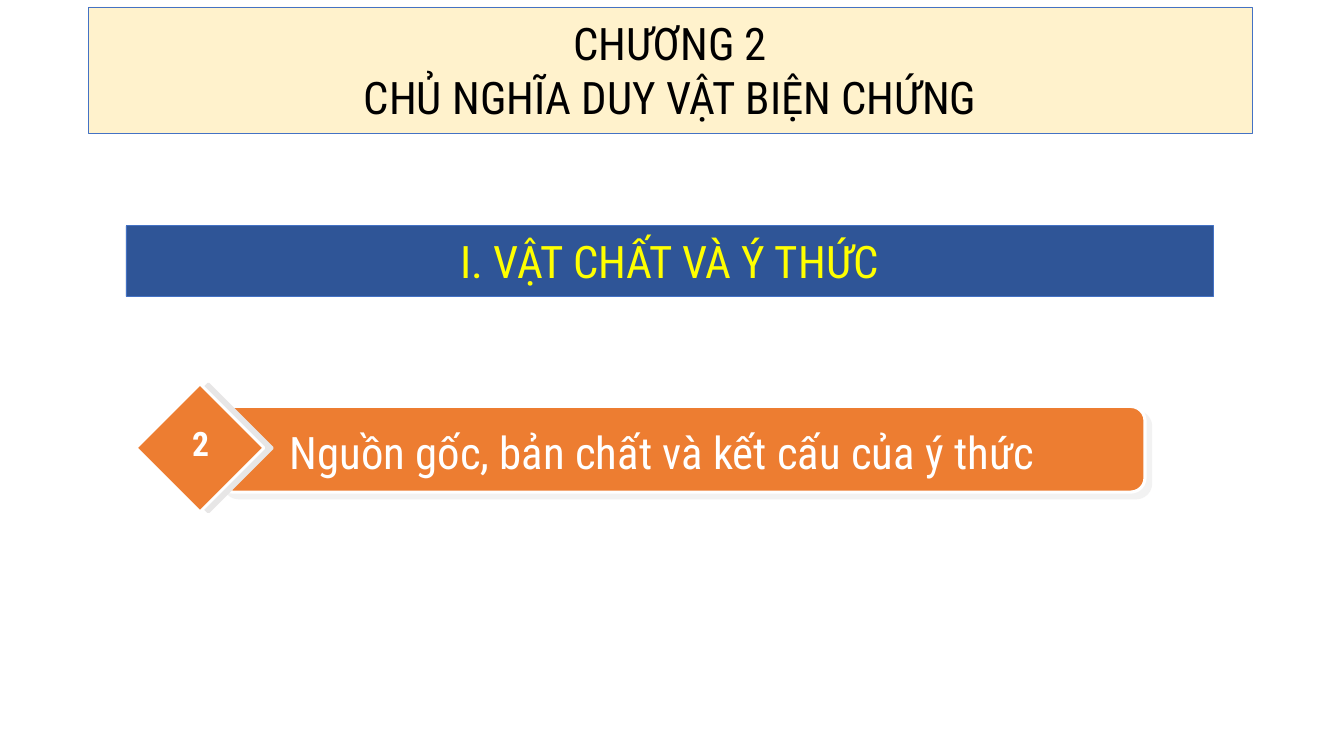
from lxml import etree
from pptx import Presentation
from pptx import util as u
from pptx.dml import color
from pptx.enum import shapes, text
from pptx.oxml import ns

Pt = u.Pt
FONT = "Roboto Condensed"
BLUE, ORANGE, WHITE, GREY = "4472C4", "ED7D31", "FFFFFF", "E7E6E6"


def rgb(value):
    return color.RGBColor.from_string(value)


def write(shape, content, size=32, ink=WHITE, bold=False, anchor=text.MSO_ANCHOR.MIDDLE):
    frame = shape.text_frame
    frame.text = content
    frame.word_wrap = True
    frame.auto_size = text.MSO_AUTO_SIZE.NONE
    frame.vertical_anchor = anchor
    for paragraph in frame.paragraphs:
        paragraph.alignment = text.PP_ALIGN.CENTER
        paragraph.line_spacing = 1.0
        paragraph.space_before = Pt(0)
        font = paragraph.font
        font.name, font.size, font.bold = FONT, Pt(size), bold
        font.color.rgb = rgb(ink)


def paint(shape, fill, line, width):
    shape.fill.solid()
    shape.fill.fore_color.rgb = rgb(fill)
    shape.line.color.rgb = rgb(line)
    shape.line.width = Pt(width)


def add_block(parent, kind, box, fill, line, width):
    block = parent.add_shape(kind, *map(Pt, box))
    paint(block, fill, line, width)
    block.shadow.inherit = False
    return block


def cast_shadow(shape, distance, degrees, opacity):
    effects = shape._element.spPr.find(ns.qn("a:effectLst"))
    shadow = etree.SubElement(effects, ns.qn("a:outerShdw"), dist=str(Pt(distance)),
                              dir=str(degrees * 60000), algn="ctr", rotWithShape="0")
    tint = etree.SubElement(shadow, ns.qn("a:srgbClr"), val=GREY)
    etree.SubElement(tint, ns.qn("a:alpha"), val=str(opacity * 1000))


def chapter_title(slide, left, top, width, height):
    title = slide.shapes.title
    title.left, title.top, title.width, title.height = map(Pt, (left, top, width, height))
    paint(title, "FFF2CC", BLUE, 0.5)
    write(title, "CHƯƠNG 2\nCHỦ NGHĨA DUY VẬT BIỆN CHỨNG", ink="000000")


def section_heading(slide, *box):
    heading = add_block(slide.shapes, shapes.MSO_SHAPE.RECTANGLE, box, "2F5597", BLUE, 0.5)
    write(heading, "I. VẬT CHẤT VÀ Ý THỨC", ink="FFFF00")


def numbered_topic(slide, number, topic, left, top, width, height):
    group = slide.shapes.add_group_shape().shapes

    # Bar, starting behind the diamond
    bar_box = (left + 59, top + 16, width - 59, 61.2)
    bar = add_block(group, shapes.MSO_SHAPE.ROUNDED_RECTANGLE, bar_box, ORANGE, WHITE, 2.25)
    bar.adjustments[0] = 0.167
    cast_shadow(bar, 5.7, 45, 50)

    # Diamond, as wide as the topic is high
    diamond_box = (left, top, height, height)
    diamond = add_block(group, shapes.MSO_SHAPE.DIAMOND, diamond_box, ORANGE, WHITE, 2)
    cast_shadow(diamond, 6, 0, 100)

    # Topic and its number
    topic_label = group.add_textbox(*map(Pt, (left + 101.5, top + 25.2, 549.4, 46.1)))
    write(topic_label, topic, anchor=text.MSO_ANCHOR.TOP)
    number_label = group.add_textbox(*map(Pt, (left + 22.3, top + 24.5, 47.5, 36)))
    write(number_label, number, size=24, bold=True, anchor=text.MSO_ANCHOR.TOP)


def main():
    deck = Presentation()
    deck.slide_width, deck.slide_height = Pt(960), Pt(540)
    slide = deck.slides.add_slide(deck.slide_layouts[5])
    section_heading(slide, 90, 161.3, 776.9, 50.4)
    numbered_topic(slide, "2", "Nguồn gốc, bản chất và kết cấu của ý thức",
                   97.2, 274.3, 720.7, 91.4)
    chapter_title(slide, 63.4, 5, 830.9, 90)
    deck.save("out.pptx")


if __name__ == "__main__":
    main()
